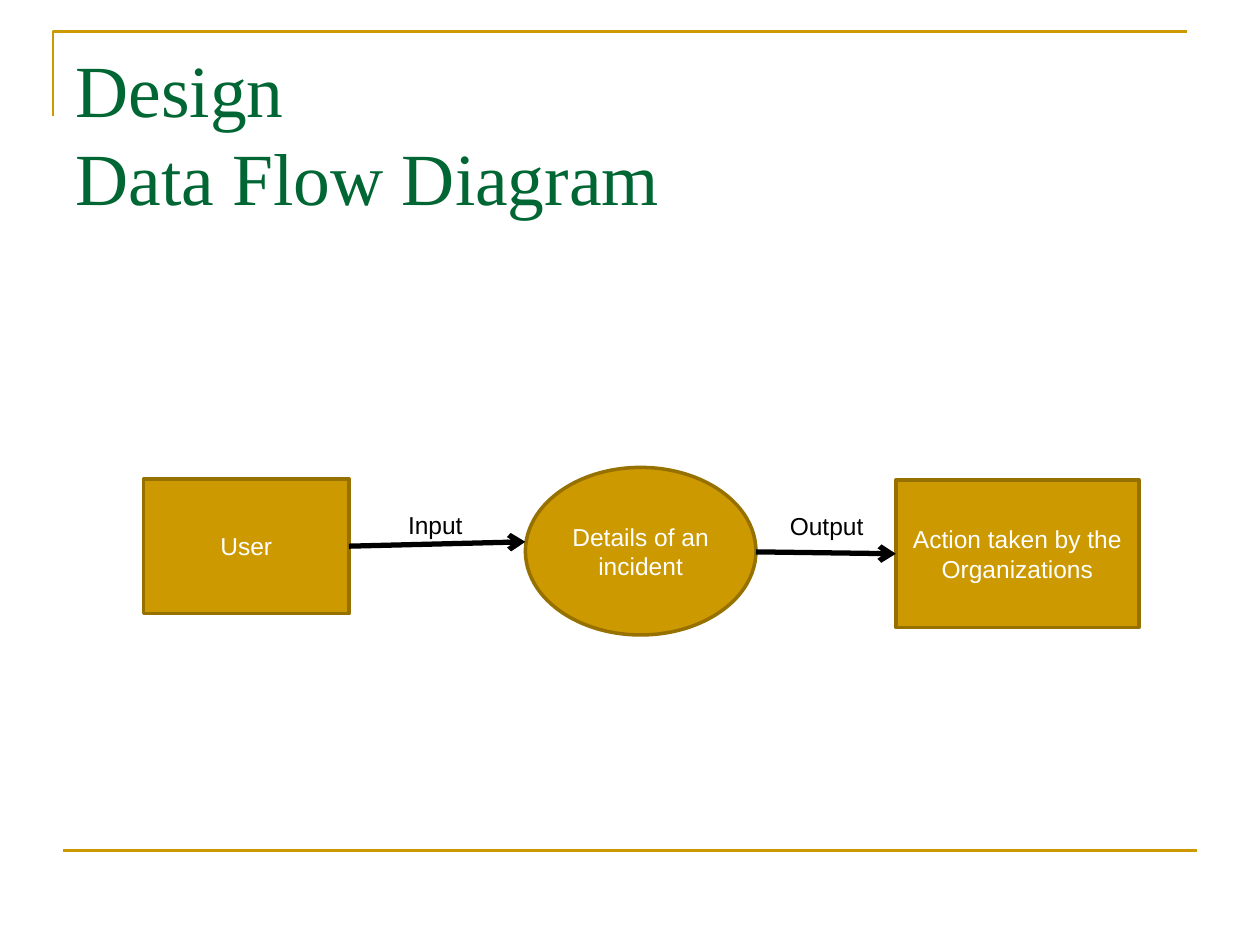
"""Builds the data flow diagram slide."""
from lxml.etree import SubElement
from pptx import Presentation
from pptx.dml.color import RGBColor
from pptx.enum.shapes import MSO_CONNECTOR, MSO_SHAPE
from pptx.enum.text import MSO_ANCHOR, PP_ALIGN
from pptx.oxml.ns import qn
from pptx.util import Inches, Pt

COLORS = {"gold": "CC9900", "edge": "977100", "title": "006633",
          "light": "FFFFFF", "ink": "000000"}
WIDTH, HEIGHT = Inches(10), Inches(7.5)
COLS, ROWS = 10, 7.5


def grid(*lengths):
    """Turn alternating column and row lengths into EMU."""
    units = (WIDTH / COLS, HEIGHT / ROWS)
    return [round(n * units[i % 2]) for i, n in enumerate(lengths)]


def color(name):
    """Look up a palette colour."""
    return RGBColor.from_string(COLORS[name])


def style_line(line, name, width):
    """Set the colour and width of a line."""
    line.color.rgb = color(name)
    line.width = Pt(width)


def style_text(tf, size, font, name, align=PP_ALIGN.LEFT):
    """Format every paragraph of a text frame."""
    for p in tf.paragraphs:
        p.alignment = align
        p.font.size = Pt(size)
        p.font.name = font
        p.font.color.rgb = color(name)


def add_title(s, text, box):
    """Fill and place the title placeholder."""
    sp = s.shapes.title
    sp.left, sp.top, sp.width, sp.height = grid(*box)
    tf = sp.text_frame
    tf.text = text
    tf.vertical_anchor = MSO_ANCHOR.TOP
    style_text(tf, 42, "Times New Roman", "title")


def add_corner(s, points):
    """Draw the open corner frame above the title."""
    start, *rest = [grid(*pt) for pt in points]
    builder = s.shapes.build_freeform(*start)
    builder.add_line_segments(rest, close=False)
    sp = builder.convert_to_shape()
    sp.fill.background()
    sp.shadow.inherit = False
    style_line(sp.line, "gold", 1.5)


def add_line(s, start, end, name, width, arrow=False):
    """Draw a straight line, with an arrowhead at its end if asked."""
    line = s.shapes.add_connector(MSO_CONNECTOR.STRAIGHT, *grid(*start), *grid(*end))
    style_line(line.line, name, width)
    if arrow:
        SubElement(line.line._get_or_add_ln(), qn("a:tailEnd"), type="arrow")
    SubElement(line._element.spPr, qn("a:effectLst"))
    return line


def add_node(s, kind, text, box):
    """Add a diagram node with centred text."""
    sp = s.shapes.add_shape(kind, *grid(*box))
    sp.shadow.inherit = False
    sp.fill.solid()
    sp.fill.fore_color.rgb = color("gold")
    style_line(sp.line, "edge", 2)
    tf = sp.text_frame
    tf.text = text
    tf.word_wrap = True
    tf.vertical_anchor = MSO_ANCHOR.MIDDLE
    style_text(tf, 14, "Arial", "light", PP_ALIGN.CENTER)
    return sp


def add_label(s, text, box):
    """Add a flow label above an arrow."""
    tf = s.shapes.add_textbox(*grid(*box)).text_frame
    tf.text = text
    tf.word_wrap = True
    style_text(tf, 14, "Arial", "ink")


def main():
    """Build and save the slide."""
    prs = Presentation()
    prs.slide_width, prs.slide_height = WIDTH, HEIGHT
    s = prs.slides.add_slide(prs.slide_layouts[5])

    add_corner(s, [(0.42, 0.92), (0.42, 0.25), (9.42, 0.25)])
    add_line(s, (0.5, 6.75), (9.5, 6.75), "gold", 1.5)
    add_title(s, "Design\vData Flow Diagram", (0.5, 0.3, 9, 1.44))

    user = add_node(s, MSO_SHAPE.RECTANGLE, "User", (1.14, 3.8, 1.63, 1.07))
    add_node(s, MSO_SHAPE.OVAL, "Details of an incident", (4.17, 3.71, 1.83, 1.33))
    action = add_node(s, MSO_SHAPE.RECTANGLE, "Action taken by the Organizations",
                      (7.11, 3.81, 1.93, 1.17))

    flow_in = add_line(s, (2.77, 4.34), (4.17, 4.3), "ink", 3, arrow=True)
    flow_in.begin_connect(user, 3)
    add_label(s, "Input", (3.14, 4, 0.64, 0.34))
    flow_out = add_line(s, (6, 4.38), (7.11, 4.4), "ink", 3, arrow=True)
    flow_out.end_connect(action, 1)
    add_label(s, "Output", (6.17, 4.01, 0.83, 0.34))

    prs.save("out.pptx")


if __name__ == "__main__":
    main()
